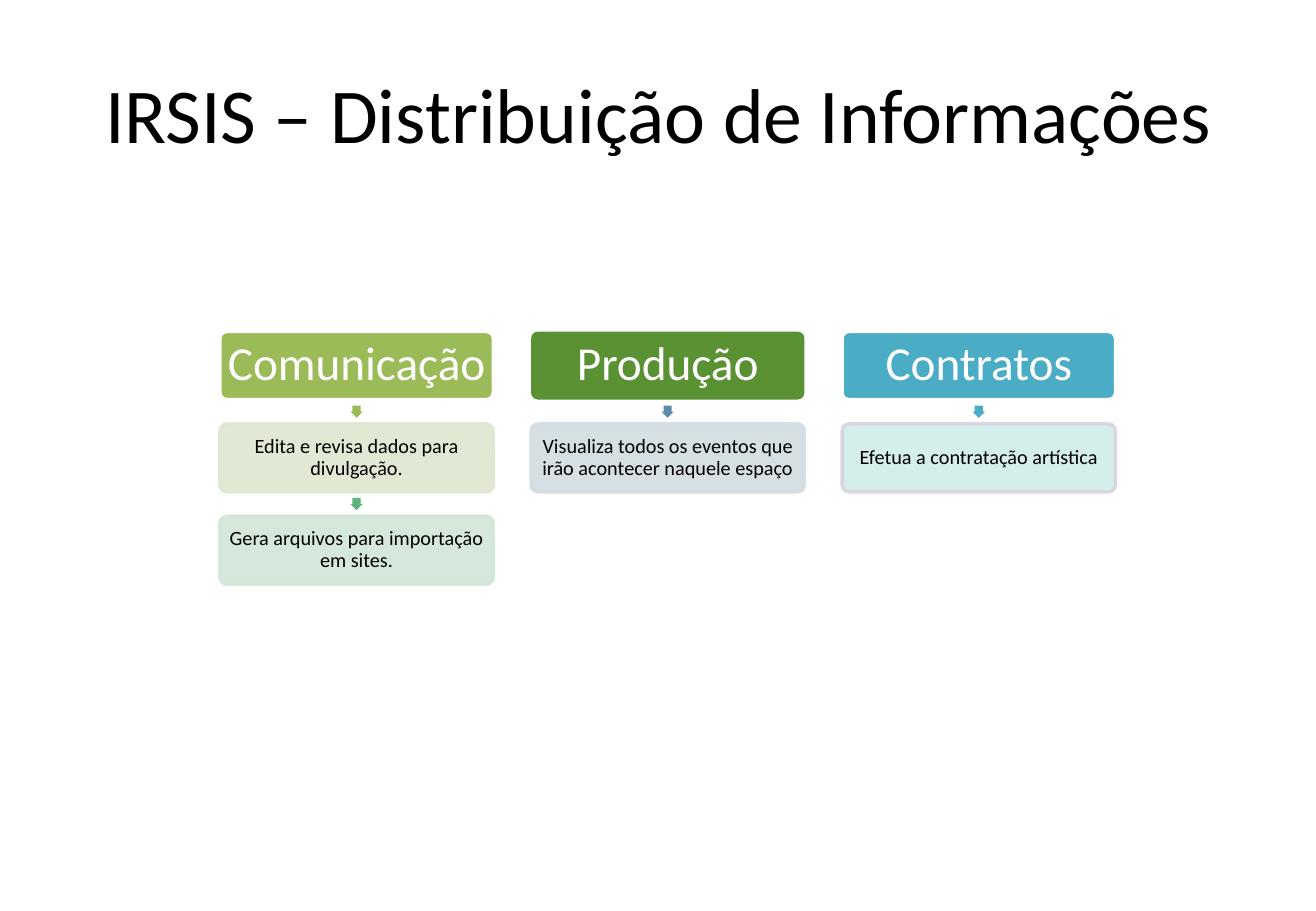
from lxml import etree
from pptx import Presentation
from pptx.dml.color import RGBColor
from pptx.enum.shapes import MSO_SHAPE
from pptx.enum.text import MSO_ANCHOR, PP_ALIGN
from pptx.oxml.ns import qn
from pptx.util import Inches, Pt

ROUND = MSO_SHAPE.ROUNDED_RECTANGLE
DOWN = MSO_SHAPE.DOWN_ARROW
MIDDLE = MSO_ANCHOR.MIDDLE
CENTER = PP_ALIGN.CENTER

BLACK = RGBColor(0x00, 0x00, 0x00)
WHITE = RGBColor(0xFF, 0xFF, 0xFF)
LIME = RGBColor(0x9B, 0xBB, 0x59)
GREEN = RGBColor(0x59, 0x91, 0x33)
TEAL = RGBColor(0x4B, 0xAC, 0xC6)
MINT = RGBColor(0x5C, 0xB3, 0x7C)
STEEL = RGBColor(0x60, 0x8C, 0xAB)
PALE_LIME = RGBColor(0xDE, 0xE7, 0xD1)
PALE_MINT = RGBColor(0xD2, 0xE5, 0xD9)
PALE_STEEL = RGBColor(0xD2, 0xDC, 0xE2)
PALE_TEAL = RGBColor(0xD0, 0xED, 0xEA)
LILAC = RGBColor(0xD8, 0xD3, 0xE0)

LEFT, TOP = 1.81, 2.73
WIDTH, HEIGHT = 2.25, 0.56
COL_STEP, ROW_STEP = 2.56, 0.76
ARROW, RISE = 0.1, 0.15

# Each column: heading, fill, line, then steps of (text, arrow, fill, line)
COLUMNS = [
    ("Comunicação", LIME, WHITE, [
        ("Edita e revisa dados para divulgação.", LIME, PALE_LIME, PALE_LIME),
        ("Gera arquivos para importação em sites.", MINT, PALE_MINT, PALE_MINT),
    ]),
    ("Produção", GREEN, None, [
        ("Visualiza todos os eventos que irão acontecer naquele espaço",
         STEEL, PALE_STEEL, PALE_STEEL),
    ]),
    ("Contratos", TEAL, WHITE, [
        ("Efetua a contratação artística", TEAL, PALE_TEAL, LILAC),
    ]),
]


class Board:
    def __init__(self, slide, font="Calibri"):
        self.slide = slide
        self.font = font

    def label(self, frame, text, size, color, inset, space=1.0):
        frame.word_wrap = True
        frame.vertical_anchor = MIDDLE
        frame.margin_left = frame.margin_right = Inches(inset)
        frame.margin_top = frame.margin_bottom = Inches(inset / 2)
        para = frame.paragraphs[0]
        para.alignment = CENTER
        para.line_spacing = space
        run = para.add_run()
        run.text = text
        run.font.name = self.font
        run.font.size = Pt(size)
        run.font.color.rgb = color

    def title(self, text):
        box = self.slide.shapes.add_textbox(
            Inches(0.54), Inches(0.3), Inches(9.75), Inches(1.25))
        self.label(box.text_frame, text, 46, BLACK, 0.1)

    def shape(self, kind, left, top, width, height, fill, line=None):
        shape = self.slide.shapes.add_shape(
            kind, Inches(left), Inches(top), Inches(width), Inches(height))
        shape.shadow.inherit = False
        shape.fill.solid()
        shape.fill.fore_color.rgb = fill
        if line is None:
            shape.line.fill.background()
        else:
            shape.line.color.rgb = line
            shape.line.width = Pt(2)
        return shape

    def card(self, left, top, text, size, color, fill, line):
        card = self.shape(ROUND, left, top, WIDTH, HEIGHT, fill, line)
        card.adjustments[0] = 0.1
        self.label(card.text_frame, text, size, color, 0.02, 0.9)
        return card

    def arrow(self, left, top, fill):
        arrow = self.shape(DOWN, left, top, ARROW, ARROW, fill)
        arrow.adjustments[0] = 0.67
        arrow.adjustments[1] = 0.5

    def fade(self, shape):
        """Make fill and line 90% opaque."""
        for color in shape.element.spPr.iter(qn("a:srgbClr")):
            etree.SubElement(color, qn("a:alpha"), val="90000")

    def column(self, left, head, fill, line, steps):
        self.card(left, TOP, head, 28, WHITE, fill, line)
        for row, (text, tip, pale, edge) in enumerate(steps, 1):
            top = TOP + row * ROW_STEP
            self.arrow(left + (WIDTH - ARROW) / 2, top - RISE, tip)
            self.fade(self.card(left, top, text, 12, BLACK, pale, edge))


def main():
    deck = Presentation()
    deck.slide_width, deck.slide_height = Inches(10.83), Inches(7.5)
    board = Board(deck.slides.add_slide(deck.slide_layouts[6]))
    board.title("IRSIS – Distribuição de Informações")
    for col, parts in enumerate(COLUMNS):
        board.column(LEFT + col * COL_STEP, *parts)
    deck.save("out.pptx")


if __name__ == "__main__":
    main()
